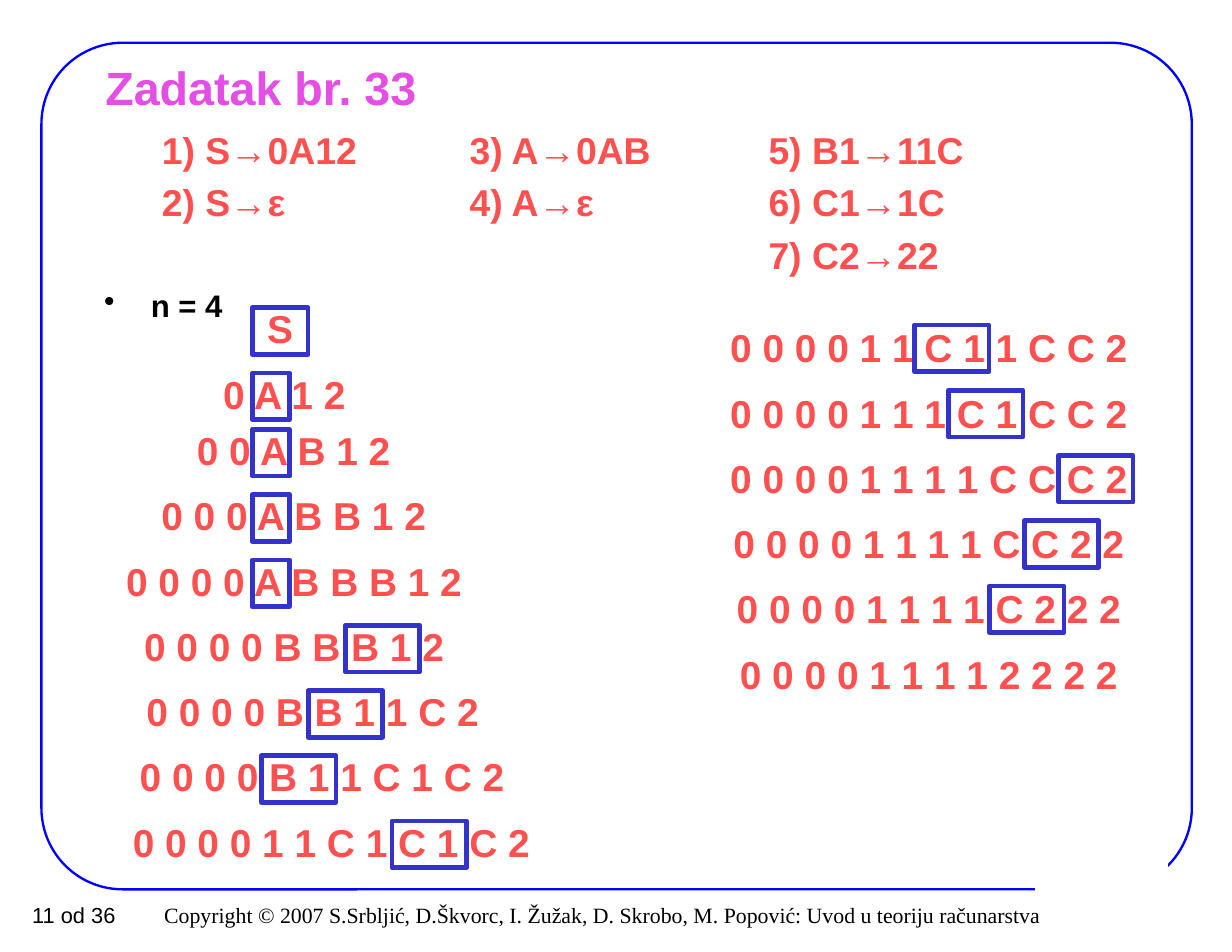
from dataclasses import dataclass

from lxml.etree import SubElement
from pptx import Presentation
from pptx.dml.color import RGBColor as Rgb
from pptx.enum.shapes import MSO_SHAPE as Preset
from pptx.enum.text import MSO_ANCHOR as Anchor, PP_ALIGN as Align
from pptx.oxml.ns import qn
from pptx.util import Cm, Pt


@dataclass(frozen=True)
class Theme:
    sans: str = "Arial"
    serif: str = "Times New Roman"
    frame: str = "0000FF"
    marker: str = "3333CC"
    title: str = "E44EE4"
    symbols: str = "FF5050"
    ink: str = "000000"
    paper: str = "FFFFFF"
    title_size: int = 30
    derivation_size: int = 25
    rule_size: int = 24
    body_size: int = 20
    footer_size: int = 14


THEME = Theme()

TITLE = "Zadatak br. 33"
CONDITION = "n = 4"
PAGE = "11 od 36"
COPYRIGHT = ("Copyright © 2007 S.Srbljić, D.Škvorc, I. Žužak, D. Skrobo, "
             "M. Popović: Uvod u teoriju računarstva")

RULES = [
    (3.39, 5.92, ["1) S→0A12", "2) S→ε"]),
    (10.37, 6.56, ["3) A→0AB", "4) A→ε"]),
    (17.15, 5.08, ["5) B1→11C", "6) C1→1C", "7) C2→22"]),
]

STEP = 1.48
MARKER_HEIGHT = 1.06
DERIVATIONS = [
    (6.77, 1.48, 0.21, [
        (5.29, 2.12, "S", (5.72, 1.27)),
        (2.54, 7.82, "0 A 1 2", (5.72, 0.85)),
    ]),
    (9.53, 1.06, 0.21, [
        (2.75, 7.82, "0 0 A B 1 2", (5.72, 0.85)),
        (2.75, 7.82, "0 0 0 A B B 1 2", (5.72, 0.85)),
        (2.33, 8.68, "0 0 0 0 A B B B 1 2", (5.72, 0.85)),
        (2.33, 8.68, "0 0 0 0 B B B 1 2", (7.83, 1.69)),
        (2.75, 8.68, "0 0 0 0 B B 1 1 C 2", (6.99, 1.69)),
        (2.33, 9.95, "0 0 0 0 B 1 1 C 1 C 2", (5.93, 1.69)),
        (2.54, 9.95, "0 0 0 0 1 1 C 1 C 1 C 2", (8.89, 1.69)),
    ]),
    (7.2, 1.06, 0.17, [
        (16.09, 9.95, "0 0 0 0 1 1 C 1 1 C C 2", (20.74, 1.69)),
        (16.09, 9.95, "0 0 0 0 1 1 1 C 1 C C 2", (21.51, 1.69)),
        (16.09, 9.95, "0 0 0 0 1 1 1 1 C C C 2", (24.01, 1.69)),
        (16.09, 9.95, "0 0 0 0 1 1 1 1 C C 2 2", (23.23, 1.69)),
        (16.09, 9.95, "0 0 0 0 1 1 1 1 C 2 2 2", (22.44, 1.69)),
        (16.09, 9.95, "0 0 0 0 1 1 1 1 2 2 2 2", None),
    ]),
]


def add_box(slide, preset, area, line, width, fill=None):
    shape = slide.shapes.add_shape(preset, *map(Cm, area))
    shape.shadow.inherit = False
    shape.line.color.rgb = Rgb.from_string(line)
    shape.line.width = Pt(width)
    if fill:
        shape.fill.solid()
        shape.fill.fore_color.rgb = Rgb.from_string(fill)
    else:
        shape.fill.background()
    return shape


def format_paragraph(paragraph, align, hanging, before, bullet):
    paragraph.alignment = align
    properties = paragraph._p.get_or_add_pPr()
    if hanging:
        properties.set("marL", str(Cm(hanging)))
        properties.set("indent", str(-Cm(hanging)))
    if before:
        spacing = SubElement(properties, qn("a:spcBef"))
        SubElement(spacing, qn("a:spcPct")).set("val", str(before * 1000))
    if bullet:
        SubElement(properties, qn("a:buChar")).set("char", bullet)


def add_text(slide, area, lines, size, color, font=THEME.sans, bold=True,
             align=Align.LEFT, anchor=Anchor.TOP, hanging=0, before=0,
             bullet=None, insets=(0.28, 0.15), wrap=True):
    frame = slide.shapes.add_textbox(*map(Cm, area)).text_frame
    frame.word_wrap = wrap
    frame.vertical_anchor = anchor
    frame.margin_left = frame.margin_right = Cm(insets[0])
    frame.margin_top = frame.margin_bottom = Cm(insets[1])
    for index, line in enumerate(lines):
        paragraph = frame.add_paragraph() if index else frame.paragraphs[0]
        format_paragraph(paragraph, align, hanging, before, bullet)
        run = paragraph.add_run()
        run.text = line
        run.font.name = font
        run.font.size = Pt(size)
        run.font.bold = bold
        run.font.color.rgb = Rgb.from_string(color)


def add_frame_and_footer(slide):
    frame = add_box(slide, Preset.ROUNDED_RECTANGLE, (0.94, 0.97, 26.09, 19.2),
                    THEME.frame, 1.5)
    frame.adjustments[0] = 0.096
    add_box(slide, Preset.RECTANGLE, (23.5, 19.48, 2.97, 1.27),
            THEME.paper, 1, THEME.paper)
    footer = dict(size=THEME.footer_size, color=THEME.ink, bold=False,
                  insets=(0.25, 0.13))
    add_text(slide, (0.43, 20.32, 23.44, 0.84), [COPYRIGHT], font=THEME.serif,
             align=Align.RIGHT, anchor=Anchor.MIDDLE, before=50, **footer)
    add_text(slide, (0.43, 20.32, 2.49, 0.86), [PAGE], align=Align.CENTER,
             wrap=False, **footer)


def add_derivation(slide, start, height, offset, rows):
    for index, (left, width, symbols, marker) in enumerate(rows):
        top = start + index * STEP
        add_text(slide, (left, top, width, height), [symbols],
                 THEME.derivation_size, THEME.symbols, align=Align.CENTER,
                 hanging=0.58, before=20)
        if marker:
            marker_left, marker_width = marker
            add_box(slide, Preset.RECTANGLE,
                    (marker_left, top + offset, marker_width, MARKER_HEIGHT),
                    THEME.marker, 3)


def main():
    """Build the slide that derives a word from the grammar for n = 4."""
    presentation = Presentation()
    presentation.slide_width, presentation.slide_height = Cm(27.94), Cm(21.59)
    slide = presentation.slides.add_slide(presentation.slide_layouts[6])
    add_frame_and_footer(slide)
    add_text(slide, (2.11, 1.27, 23.75, 1.4), [TITLE], THEME.title_size,
             THEME.title, anchor=Anchor.MIDDLE)
    add_text(slide, (2.08, 6.35, 24.99, 12.12), [CONDITION], THEME.body_size,
             THEME.ink, hanging=1.06, before=20, bullet="•")
    for left, width, lines in RULES:
        add_text(slide, (left, 2.74, width, 3.81), lines, THEME.rule_size,
                 THEME.symbols, align=Align.JUSTIFY, hanging=0.58, before=20)
    for derivation in DERIVATIONS:
        add_derivation(slide, *derivation)
    presentation.save("out.pptx")


if __name__ == "__main__":
    main()
